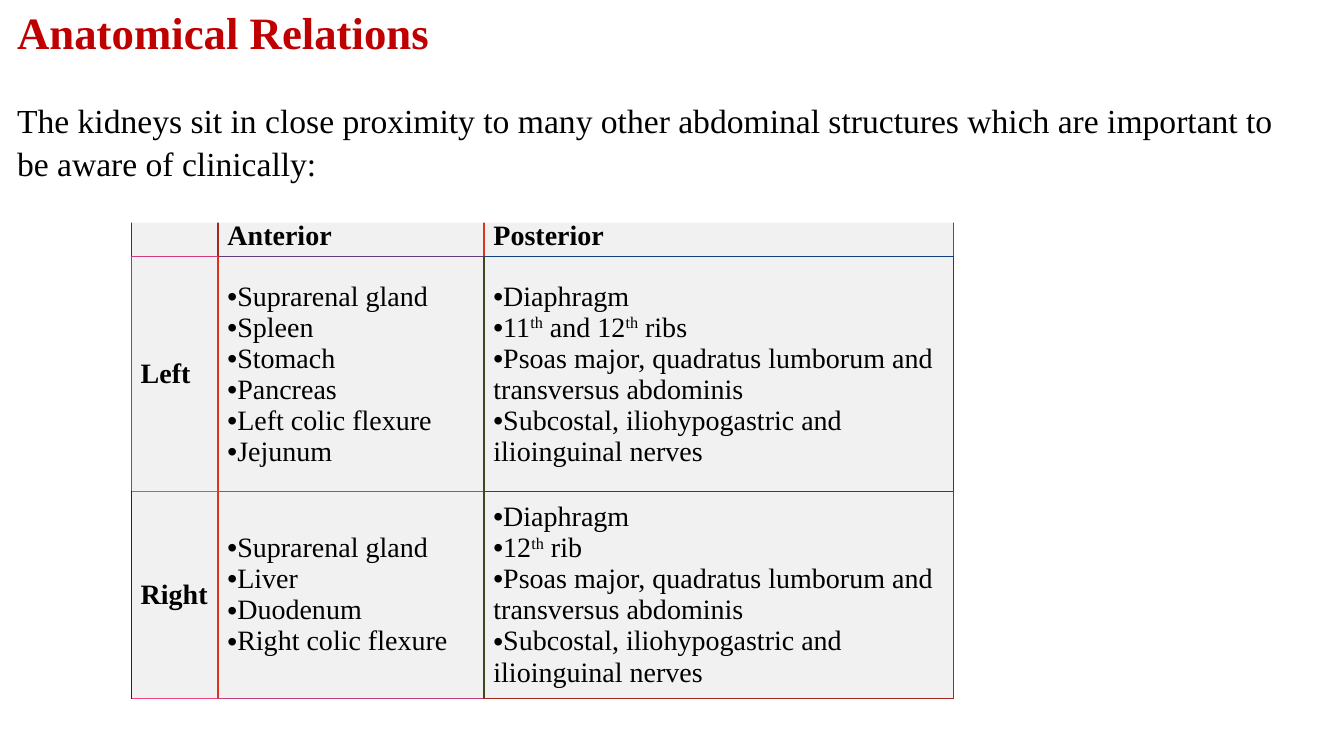
import pptx
import pptx.dml.color
import pptx.enum.text
import pptx.util
from lxml import etree
from pptx.oxml.ns import qn

Pt = pptx.util.Pt
RGBColor = pptx.dml.color.RGBColor
Anchor = pptx.enum.text.MSO_ANCHOR

FONT = "Times New Roman"
RED = RGBColor(0xC0, 0x00, 0x00)
BLACK = RGBColor(0x00, 0x00, 0x00)
WHITE = RGBColor(0xFF, 0xFF, 0xFF)
LIGHT_GREY = RGBColor(0xF1, 0xF1, 0xF1)


def colour_rows(*rows):
    return [[RGBColor.from_string(code) for code in row.split()] for row in rows]


# Edges between cells: one row of verticals per table row,
# one row of horizontals above each table row and below the last.
VERTICAL_EDGES = colour_rows(
    "60281D A02A1D E0311D 703E7E",
    "E02C1D E0311D 40461D 10417E",
    "202B1D E0311D 40461D A0281D",
)
HORIZONTAL_EDGES = colour_rows(
    "303F7E 403E7E 703E7E",
    "D03B7E 603C7E 10417E",
    "F0427E C03F7E 40431D",
    "F0427E C03F7E A0281D",
)

MUSCLES = "Psoas major, quadratus lumborum and transversus abdominis"
NERVES = "Subcostal, iliohypogastric and ilioinguinal nerves"
# Text between carets is superscript.
RELATIONS = [
    [[], ["Anterior"], ["Posterior"]],
    [
        ["Left"],
        ["Suprarenal gland", "Spleen", "Stomach", "Pancreas", "Left colic flexure", "Jejunum"],
        ["Diaphragm", "11^th^ and 12^th^ ribs", MUSCLES, NERVES],
    ],
    [
        ["Right"],
        ["Suprarenal gland", "Liver", "Duodenum", "Right colic flexure"],
        ["Diaphragm", "12^th^ rib", MUSCLES, NERVES],
    ],
]
COLUMN_WIDTHS = [62, 190, 335.5]
ROW_HEIGHTS = [13, 167.75, 147.5]
INTRODUCTION = (
    "The kidneys sit in close proximity to many other abdominal structures "
    "which are important to be aware of clinically:"
)


def set_attributes(target, values):
    for name, value in values.items():
        setattr(target, name, value)


def add_text(paragraph, text, size, colour, bold):
    for index, part in enumerate(text.split("^")):
        run = paragraph.add_run()
        run.text = part
        set_attributes(run.font, {"name": FONT, "size": Pt(size), "bold": bold})
        run.font.color.rgb = colour
        if index % 2:
            run._r.get_or_add_rPr().set("baseline", "30000")


def set_bullet(paragraph, character=None):
    """Remove the indent and show the given bullet, or none."""
    properties = paragraph._p.get_or_add_pPr()
    properties.set("marL", "0")
    properties.set("indent", "0")
    if character:
        etree.SubElement(properties, qn("a:buFont"), typeface="Arial")
        etree.SubElement(properties, qn("a:buChar"), char=character)
    else:
        etree.SubElement(properties, qn("a:buNone"))


def fill_placeholder(placeholder, text, top, height, top_inset, anchor, size, colour, bold):
    set_attributes(placeholder, {
        "left": Pt(5), "top": Pt(top), "width": Pt(940), "height": Pt(height),
    })
    placeholder.fill.solid()
    placeholder.fill.fore_color.rgb = WHITE
    frame = placeholder.text_frame
    set_attributes(frame, {
        "word_wrap": True,
        "auto_size": pptx.enum.text.MSO_AUTO_SIZE.NONE,
        "vertical_anchor": anchor,
        "margin_left": Pt(7.2), "margin_right": Pt(7.2),
        "margin_top": Pt(top_inset), "margin_bottom": 0,
    })
    paragraph = frame.paragraphs[0]
    set_bullet(paragraph)
    set_attributes(paragraph, {
        "alignment": pptx.enum.text.PP_ALIGN.LEFT,
        "line_spacing": 1.07,
        "space_before": Pt(0),
    })
    add_text(paragraph, text, size, colour, bold)


def set_borders(cell, row, column):
    edges = {
        "a:lnL": VERTICAL_EDGES[row][column],
        "a:lnR": VERTICAL_EDGES[row][column + 1],
        "a:lnT": HORIZONTAL_EDGES[row][column],
        "a:lnB": HORIZONTAL_EDGES[row + 1][column],
    }
    properties = cell._tc.get_or_add_tcPr()
    for index, (tag, colour) in enumerate(edges.items()):
        line = etree.Element(qn(tag), w=str(Pt(1)))
        fill = etree.SubElement(line, qn("a:solidFill"))
        etree.SubElement(fill, qn("a:srgbClr"), val=str(colour))
        properties.insert(index, line)


def fill_cell(cell, items, is_heading):
    set_attributes(cell, {
        "vertical_anchor": Anchor.MIDDLE,
        "margin_left": Pt(6.75), "margin_right": Pt(6.75),
        "margin_top": Pt(3.6), "margin_bottom": Pt(3.6),
    })
    cell.fill.solid()
    cell.fill.fore_color.rgb = LIGHT_GREY
    frame = cell.text_frame
    for index, item in enumerate(items):
        paragraph = frame.add_paragraph() if index else frame.paragraphs[0]
        if not is_heading:
            set_bullet(paragraph, "•")
        add_text(paragraph, item, 20, BLACK, is_heading)


def add_relations_table(slide):
    graphic_frame = slide.shapes.add_table(
        len(ROW_HEIGHTS), len(COLUMN_WIDTHS), Pt(93.75), Pt(154),
        Pt(sum(COLUMN_WIDTHS)), Pt(sum(ROW_HEIGHTS)))
    table = graphic_frame.table
    set_attributes(table, {"first_row": False, "horz_banding": False})
    for column, width in zip(table.columns, COLUMN_WIDTHS):
        column.width = Pt(width)
    for row, height in zip(table.rows, ROW_HEIGHTS):
        row.height = Pt(height)
    for row, cells in enumerate(RELATIONS):
        for column, items in enumerate(cells):
            cell = table.cell(row, column)
            fill_cell(cell, items, is_heading=row == 0 or column == 0)
            set_borders(cell, row, column)
    return graphic_frame


def send_to_back(slide, shape):
    slide.shapes._spTree.insert(2, shape._element)


def main():
    presentation = pptx.Presentation()
    set_attributes(presentation, {"slide_width": Pt(960), "slide_height": Pt(540)})
    slide = presentation.slides.add_slide(presentation.slide_layouts[1])
    fill_placeholder(slide.shapes.title, "Anatomical Relations",
                     1, 41, 0, Anchor.MIDDLE, 32, RED, True)
    fill_placeholder(slide.placeholders[1], INTRODUCTION,
                     42, 117, 27, Anchor.TOP, 24, BLACK, False)
    send_to_back(slide, add_relations_table(slide))
    presentation.save("out.pptx")


if __name__ == "__main__":
    main()
